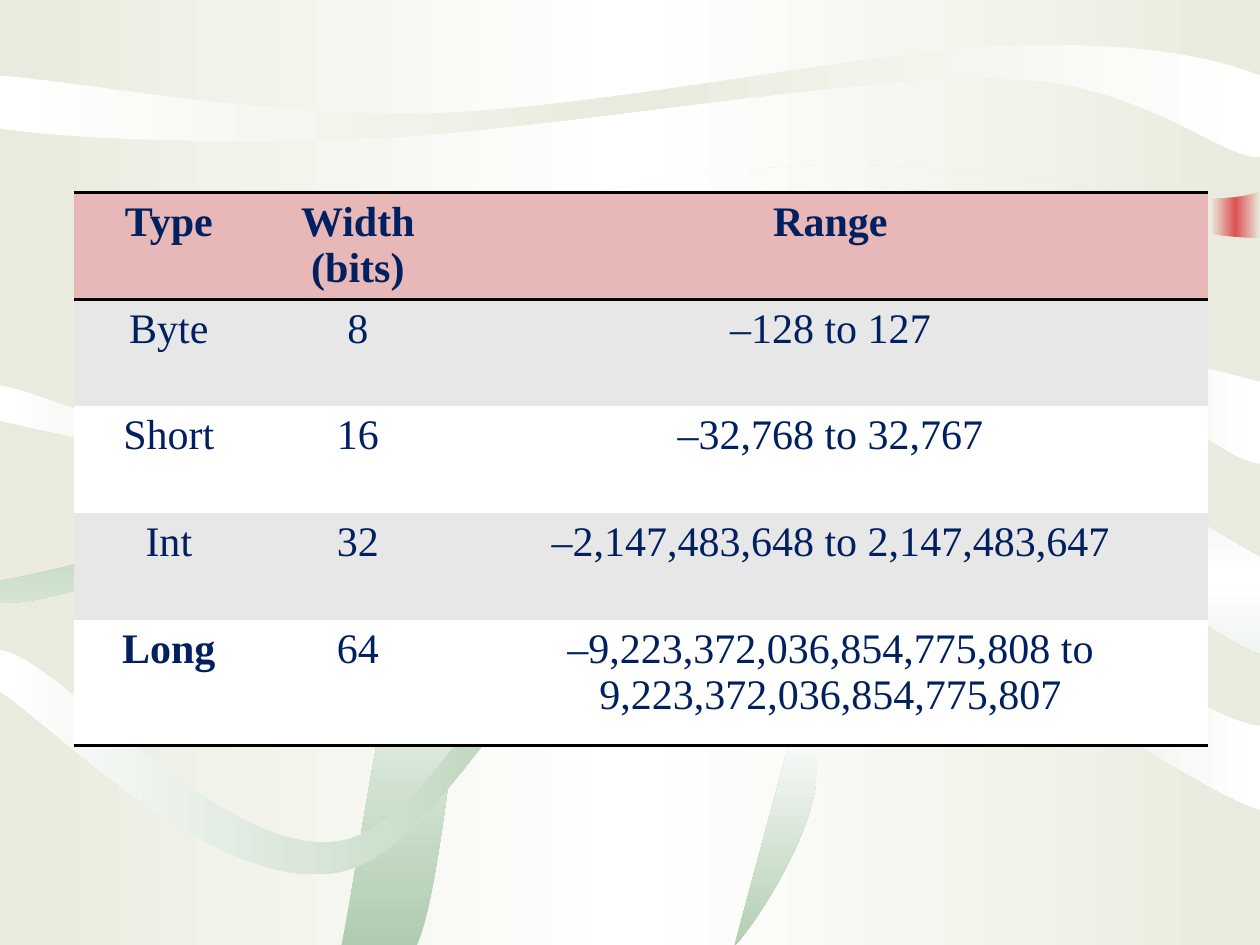
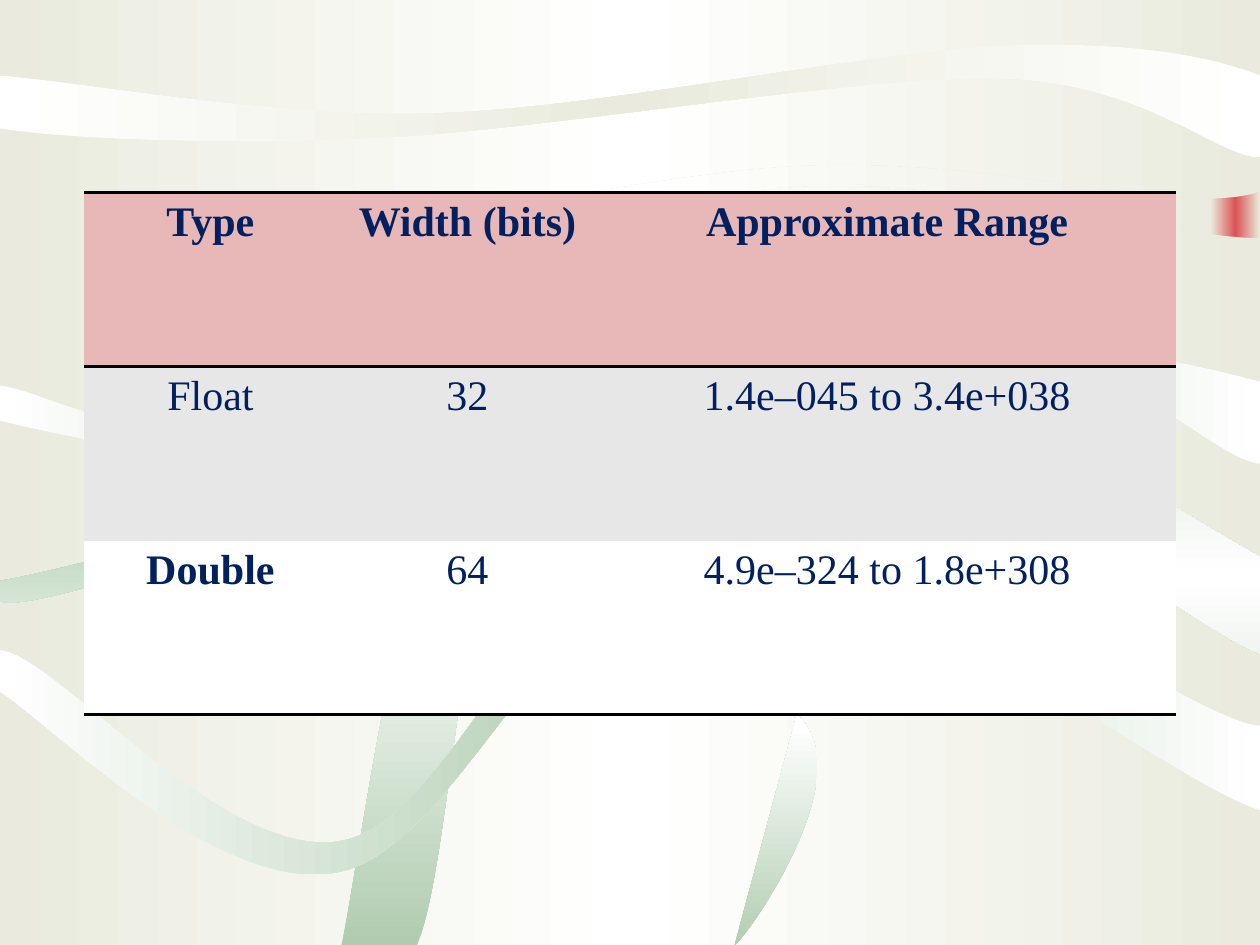
from copy import deepcopy

from lxml.etree import SubElement
from pptx import Presentation
from pptx.dml.color import RGBColor
from pptx.enum.shapes import MSO_SHAPE
from pptx.enum.text import PP_ALIGN
from pptx.oxml import parse_xml
from pptx.oxml.ns import nsdecls, qn
from pptx.util import Inches, Pt

FONT = "Times New Roman"
CREAM, WHITE, SAGE, RED = "EAEBDE", "FFFFFF", "B0CCB0", "DB5353"
NAVY, ROSE, GREY, BLACK = "002060", "E8B7B7", "E7E7E7", "000000"
ACROSS, DOWN = 0, 90
NO_STYLE = "{2D5ABB26-0587-4C30-8999-92F81FD0307C}"
TABLE_TOP = 1.53

# Each ribbon: edge colour, middle colour, gradient angle, outline in inches.
# Outline items hold a line end (2 numbers) or a Bezier curve (6 numbers).
RIBBONS = [
    (CREAM, WHITE, ACROSS, [
        (0, 0), (10, 0), (10, 1.52), (9.38, 1.74, 7.92, 1.22, 6.25, 1.32),
        (4.58, 1.42, 1.04, 2.33, 0, 2.11)]),
    (CREAM, WHITE, ACROSS, [
        (0, 2.28), (1.78, 2.45, 3.4, 1.94, 4.58, 1.74),
        (4.58, 1.74, 5.67, 1.59, 5.86, 1.55),
        (7.15, 1.27, 9.17, 1.89, 10, 1.89), (10, 7.5), (0, 7.5)]),
    (WHITE, CREAM, ACROSS, [
        (0, 0.6), (0, 1.02), (0.51, 1.1, 1.76, 1.15, 3.08, 1.09),
        (4.4, 1.02, 6.79, 0.6, 7.94, 0.62),
        (9.09, 0.65, 9.66, 1.25, 10, 1.25), (10, 0.6),
        (9.65, 0.46, 9.01, 0.32, 7.92, 0.37),
        (6.82, 0.42, 4.77, 0.86, 3.45, 0.9),
        (2.13, 0.94, 0.72, 0.66, 0, 0.6)]),
    (WHITE, SAGE, ACROSS, [
        (0, 3.06), (0, 3.34), (0.37, 3.43, 1.75, 3.7, 2.22, 3.75),
        (2.69, 3.8, 1.9, 3.79, 2.82, 3.64),
        (3.75, 3.48, 6.6, 2.82, 7.8, 2.83),
        (9, 2.83, 9.63, 3.65, 10, 3.68), (10, 3.03),
        (9.5, 2.9, 8.36, 2.63, 7.01, 2.69),
        (5.66, 2.74, 3.07, 3.32, 1.9, 3.38),
        (0.73, 3.44, 0.4, 3.12, 0, 3.06)]),
    (SAGE, WHITE, DOWN, [
        (2.71, 7.5), (2.91, 6.61, 3.32, 2.69, 4.54, 2.18),
        (5.75, 1.66, 9.09, 3.92, 10, 4.42), (10, 5.19),
        (9.13, 4.85, 5.91, 2.05, 4.79, 2.43),
        (3.68, 2.82, 3.66, 6.66, 3.31, 7.5)]),
    (WHITE, SAGE, ACROSS, [
        (0, 5.16), (0, 5.49), (0.45, 5.78, 1.74, 7.11, 2.69, 6.92),
        (3.63, 6.74, 4.43, 4.46, 5.65, 4.37),
        (6.87, 4.29, 9.27, 6.2, 10, 6.43), (10, 5.76),
        (9.38, 5.72, 6.91, 3.77, 5.62, 3.91),
        (4.41, 4.06, 3.67, 6.46, 2.73, 6.67),
        (1.79, 6.87, 0.45, 5.2, 0, 5.16)]),
    (SAGE, WHITE, DOWN, [
        (0, 4.61), (0, 4.77), (0.26, 4.89, 2.08, 4.12, 3.14, 4.28),
        (4.2, 4.44, 5.92, 5.18, 6.37, 5.72),
        (6.82, 6.25, 5.82, 7.57, 5.83, 7.5), (6.42, 5.32),
        (6.06, 4.74, 4.73, 4.12, 3.66, 4.01),
        (2.59, 3.89, 0.76, 4.48, 0, 4.61)]),
]

INTEGER_TYPES = [
    ("Type", "Width (bits)", "Range"),
    ("Byte", "8", "–128 to 127"),
    ("Short", "16", "–32,768 to 32,767"),
    ("Int", "32", "–2,147,483,648 to 2,147,483,647"),
    ("Long", "64", "–9,223,372,036,854,775,808 to 9,223,372,036,854,775,807"),
]
FLOATING_TYPES = [
    ("Type", "Width (bits)", "Approximate Range"),
    ("Float", "32", "1.4e–045 to 3.4e+038"),
    ("Double", "64", "4.9e–324 to 1.8e+308"),
]


def rgb(hex_color):
    return RGBColor.from_string(hex_color)


def paint_gradient(fill, owner, edge, middle, angle):
    """Fill with a mirrored gradient: edge, middle, edge."""
    fill.gradient()
    fill.gradient_angle = angle
    stop_list = owner.xpath(".//a:gsLst")[0]
    stop_list.insert(1, deepcopy(stop_list[0]))
    for index, stop in enumerate(fill.gradient_stops):
        stop.position = index / 2
        stop.color.rgb = rgb(middle if index == 1 else edge)


def finish_shape(shape, edge, middle, angle):
    shape.shadow.inherit = False
    shape.line.fill.background()
    paint_gradient(shape.fill, shape.element, edge, middle, angle)
    return shape


def bend_curves(shape, outline):
    """Turn the three line segments that stand for each curve into one Bezier."""
    segments = iter(shape.element.xpath(".//a:path/a:lnTo"))
    for item in outline[1:]:
        first = next(segments)
        if len(item) == 6:
            curve = parse_xml(f'<a:cubicBezTo {nsdecls("a")}/>')
            first.addprevious(curve)
            for segment in (first, next(segments), next(segments)):
                curve.append(segment[0])
                segment.getparent().remove(segment)


def add_ribbon(slide, edge, middle, angle, outline):
    start, *rest = [(Inches(x), Inches(y)) for item in outline
                    for x, y in zip(item[::2], item[1::2])]
    builder = slide.shapes.build_freeform(*start)
    builder.add_line_segments(rest, close=True)
    ribbon = builder.convert_to_shape()
    bend_curves(ribbon, outline)
    return finish_shape(ribbon, edge, middle, angle)


def decorate_master(master, slide):
    """Give the master its background, then draw the ribbons and move them there."""
    paint_gradient(master.background.fill, master.element, CREAM, WHITE, ACROSS)
    red_band = slide.shapes.add_shape(
        MSO_SHAPE.RECTANGLE, Inches(9.61), Inches(0.49), Inches(0.39), Inches(3.45))
    decorations = [finish_shape(red_band, CREAM, RED, ACROSS)]
    decorations += [add_ribbon(slide, *ribbon) for ribbon in RIBBONS]
    for number, decoration in enumerate(decorations, start=101):
        decoration.element.xpath("./p:nvSpPr/p:cNvPr")[0].set("id", str(number))
        master.shapes.element.append(decoration.element)


def add_rules(cell_properties, sides):
    """Draw black rules on the given sides (T, B), in that order."""
    for position, side in enumerate(sides):
        rule = parse_xml(f'<a:ln{side} {nsdecls("a")} w="{Pt(2)}"/>')
        solid = SubElement(rule, qn("a:solidFill"))
        SubElement(solid, qn("a:srgbClr")).set("val", BLACK)
        cell_properties.insert(position, rule)


def write_cell(cell, text, fill_color, bold):
    cell.fill.solid()
    cell.fill.fore_color.rgb = rgb(fill_color)
    cell.text = text
    paragraph = cell.text_frame.paragraphs[0]
    paragraph.alignment = PP_ALIGN.CENTER
    paragraph.font.name = FONT
    paragraph.font.size = Pt(24)
    paragraph.font.bold = bold
    paragraph.font.color.rgb = rgb(NAVY)


def add_type_table(slide, entries, left, widths, heights):
    frame = slide.shapes.add_table(
        len(entries), len(widths), Inches(left), Inches(TABLE_TOP),
        Inches(sum(widths)), Inches(sum(heights)))
    frame.element.xpath(".//a:tableStyleId")[0].text = NO_STYLE
    table = frame.table
    for column, width in zip(table.columns, widths):
        column.width = Inches(width)
    for row, height in zip(table.rows, heights):
        row.height = Inches(height)

    last = len(entries) - 1
    for r, entry in enumerate(entries):
        fill_color = ROSE if r == 0 else (GREY if r % 2 else WHITE)
        for c, text in enumerate(entry):
            # The header and the widest type's name are bold
            bold = r == 0 or (r == last and c == 0)
            write_cell(table.cell(r, c), text, fill_color, bold)

    # Rules above and below the header, and under the last row
    rows = frame.element.xpath(".//a:tr")
    for row, sides in ((rows[0], "TB"), (rows[last], "B")):
        for cell_properties in row.xpath("./a:tc/a:tcPr"):
            add_rules(cell_properties, sides)


def main():
    deck = Presentation()
    deck.slide_width, deck.slide_height = Inches(10), Inches(7.5)
    blank = deck.slide_layouts[6]

    # Integer types
    integers = deck.slides.add_slide(blank)
    decorate_master(deck.slide_master, integers)
    add_type_table(integers, INTEGER_TYPES, 0.59, [1.5, 1.5, 6], [3.39 / 4] * 4 + [1])

    # Floating-point types
    floats = deck.slides.add_slide(blank)
    add_type_table(floats, FLOATING_TYPES, 0.67, [2, 2.08, 4.58], [1.38] * 3)

    deck.save("out.pptx")


if __name__ == "__main__":
    main()
